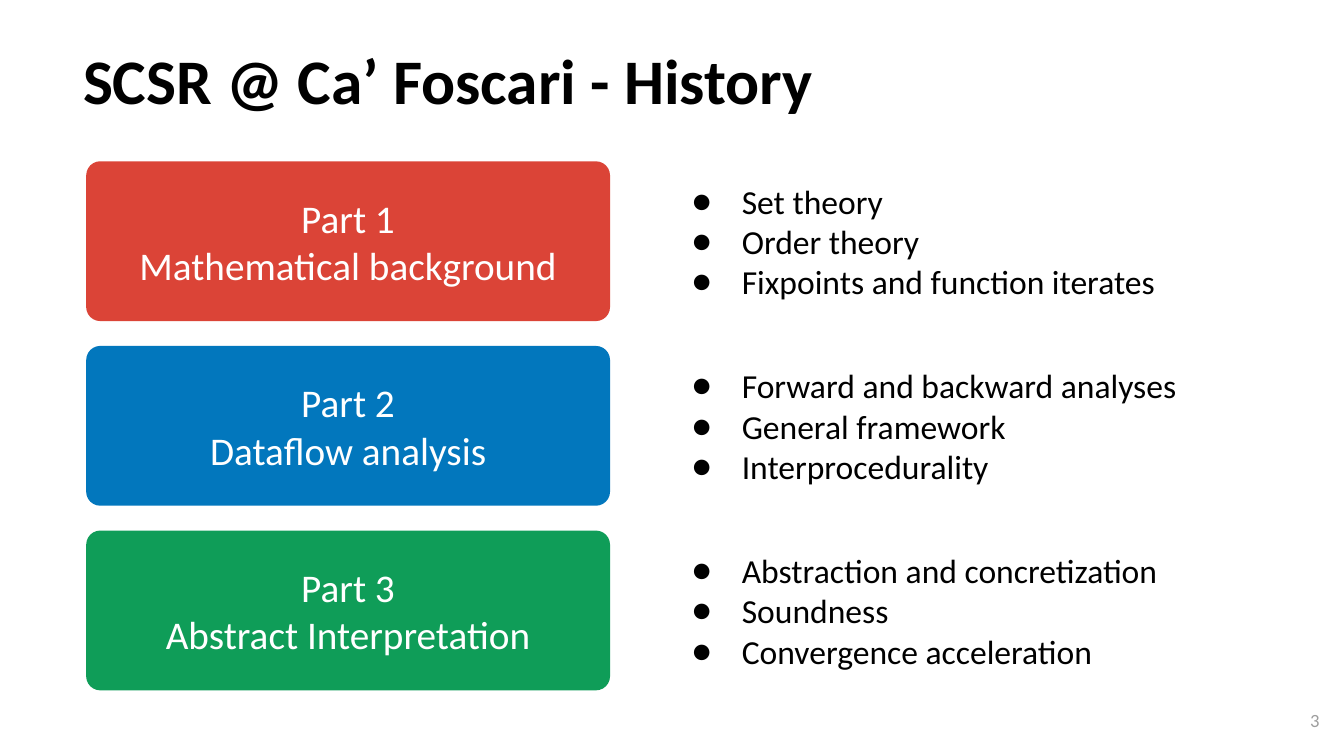
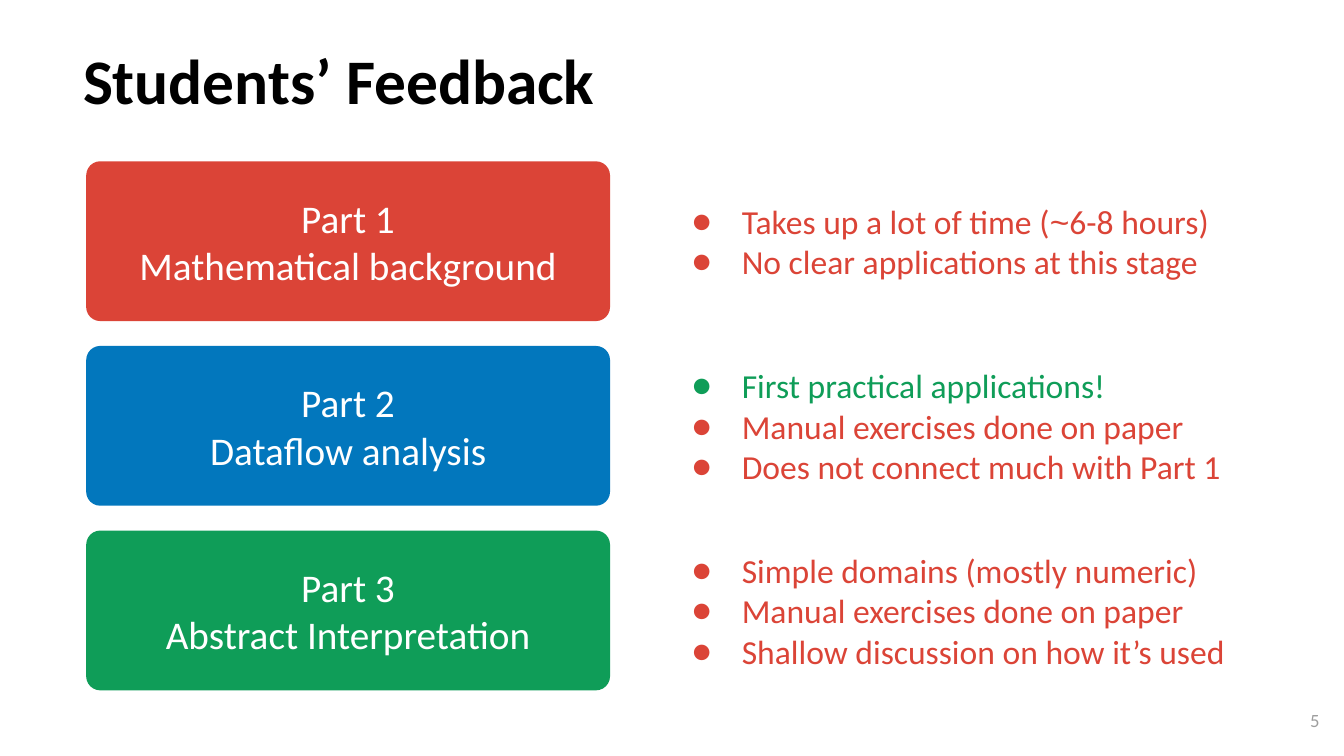
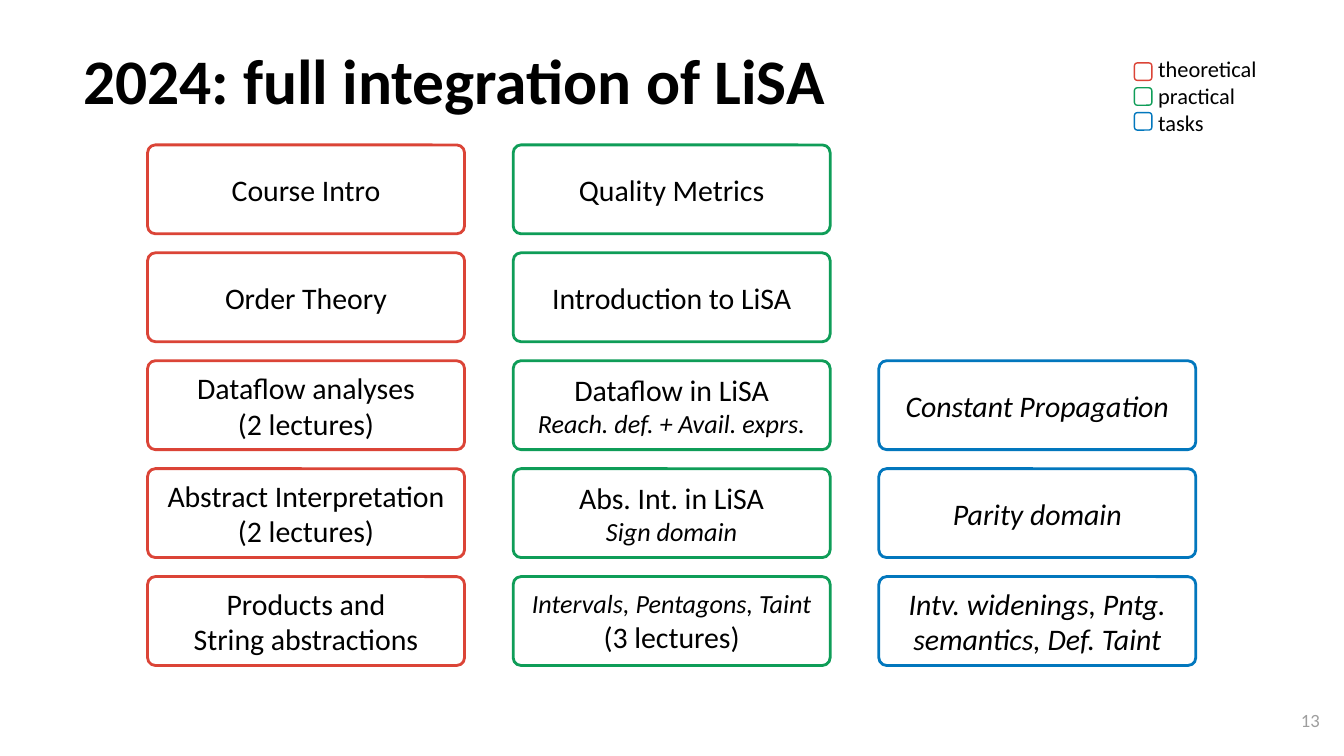
from dataclasses import dataclass, replace

from lxml import etree
from pptx import Presentation
from pptx.dml.color import RGBColor
from pptx.enum.shapes import MSO_SHAPE
from pptx.enum.text import MSO_ANCHOR, PP_ALIGN
from pptx.oxml.ns import qn
from pptx.util import Cm, Pt

ROUNDED = MSO_SHAPE.ROUNDED_RECTANGLE
TOP, MIDDLE, BOTTOM = MSO_ANCHOR.TOP, MSO_ANCHOR.MIDDLE, MSO_ANCHOR.BOTTOM
LEFT, CENTER, RIGHT = PP_ALIGN.LEFT, PP_ALIGN.CENTER, PP_ALIGN.RIGHT


@dataclass(frozen=True)
class Theme:
    """Colours, fonts, type sizes and line widths of the deck."""
    black: str = "000000"
    white: str = "FFFFFF"
    grey: str = "9E9E9E"
    red: str = "DB4437"
    blue: str = "0277BD"
    green: str = "0F9D58"
    font: str = "Calibri"
    symbol_font: str = "Arial"
    title: int = 34
    heading: int = 21
    bullet: int = 18
    lecture: int = 16
    detail: int = 14
    legend: int = 12
    number: int = 10
    card_line: float = 1.5
    swatch_line: float = 0.75
    card_corner: float = 0.088
    swatch_corner: float = 0.167
    inset: float = 0.25


THEME = Theme()


@dataclass(frozen=True)
class Box:
    """A rectangle measured in centimetres."""
    left: float
    top: float
    width: float
    height: float

    def shifted(self, dx=0, dy=0):
        """Return the same rectangle moved by dx and dy."""
        return replace(self, left=self.left + dx, top=self.top + dy)

    def lengths(self):
        """Return left, top, width and height as slide lengths."""
        return [Cm(v) for v in (self.left, self.top, self.width, self.height)]


@dataclass(frozen=True)
class Run:
    """A piece of text with one format."""
    text: str
    size: int
    color: str = THEME.black
    bold: bool = False
    italic: bool = False
    font: str = THEME.font


TITLE_BOX = Box(1.32, 0.33, 22.83, 2.13)
NUMBER_BOX = Box(23.67, 13.06, 1.52, 1.09)
COURSE_BOX = Box(1.63, 3.05, 22.25, 10)
GRID_BOX = Box(2.79, 2.74, 19.81, 9.84)
LEGEND_BOX = Box(21.44, 0.79, 2.71, 1.68)

COURSE = [
    ("Part 1", "Mathematical background", THEME.red),
    ("Part 2", "Dataflow analysis", THEME.blue),
    ("Part 3", "Abstract Interpretation", THEME.green),
]


def bullet(text, color=THEME.black):
    """Return a one-run bullet paragraph."""
    return [Run(text, THEME.bullet, color)]


def lecture(text, italic=False):
    """Return a main line of a lecture card."""
    return [Run(text, THEME.lecture, italic=italic)]


def detail(text):
    """Return a small italic line of a lecture card."""
    return [Run(text, THEME.detail, italic=True)]


HISTORY = [
    [bullet(text) for text in topics] for topics in (
        ("Set theory", "Order theory", "Fixpoints and function iterates"),
        ("Forward and backward analyses", "General framework", "Interprocedurality"),
        ("Abstraction and concretization", "Soundness", "Convergence acceleration"),
    )
]

FEEDBACK = [
    [
        [
            Run("Takes up a lot of time (", THEME.bullet, THEME.red),
            Run("~", THEME.bullet, THEME.red, font=THEME.symbol_font),
            Run("6-8 hours)", THEME.bullet, THEME.red),
        ],
        bullet("No clear applications at this stage", THEME.red),
    ],
    [
        bullet("First practical applications!", THEME.green),
        bullet("Manual exercises done on paper", THEME.red),
        bullet("Does not connect much with Part 1", THEME.red),
    ],
    [
        bullet("Simple domains (mostly numeric)", THEME.red),
        bullet("Manual exercises done on paper", THEME.red),
        bullet("Shallow discussion on how it’s used", THEME.red),
    ],
]

TRACKS = [
    ("theoretical", THEME.red, 0, [
        [lecture("Course Intro")],
        [lecture("Order Theory")],
        [lecture("Dataflow analyses"), lecture("(2 lectures)")],
        [lecture("Abstract Interpretation"), lecture("(2 lectures)")],
        [lecture("Products and"), lecture("String abstractions")],
    ]),
    ("practical", THEME.green, 0, [
        [lecture("Quality Metrics")],
        [lecture("Introduction to LiSA")],
        [lecture("Dataflow in LiSA"), detail("Reach. def. + Avail. exprs.")],
        [lecture("Abs. Int. in LiSA"), detail("Sign domain")],
        [detail("Intervals, Pentagons, Taint"), lecture("(3 lectures)")],
    ]),
    ("tasks", THEME.blue, 2, [
        [lecture("Constant Propagation", italic=True)],
        [lecture("Parity domain", italic=True)],
        [lecture("Intv. widenings, Pntg. semantics, Def. Taint", italic=True)],
    ]),
]


def rgb(color):
    """Turn a hex string into a colour."""
    return RGBColor.from_string(color)


def write(tf, paragraphs, align=LEFT, anchor=MIDDLE):
    """Fill a text frame with paragraphs made of runs."""
    tf.word_wrap = True
    tf.vertical_anchor = anchor
    tf.margin_left = tf.margin_right = Cm(THEME.inset)
    tf.margin_top = tf.margin_bottom = Cm(THEME.inset)
    for i, runs in enumerate(paragraphs):
        p = tf.add_paragraph() if i else tf.paragraphs[0]
        p.alignment = align
        for run in runs:
            r = p.add_run()
            r.text = run.text
            r.font.name = run.font
            r.font.size = Pt(run.size)
            r.font.bold = run.bold
            r.font.italic = run.italic
            r.font.color.rgb = rgb(run.color)


def add_text(s, box, paragraphs, align=LEFT, anchor=MIDDLE):
    """Add a text box and return its text frame."""
    tf = s.shapes.add_textbox(*box.lengths()).text_frame
    write(tf, paragraphs, align, anchor)
    return tf


def add_rounded(s, box, corner, fill=None, line=None, width=0):
    """Add a rounded rectangle that is filled, outlined or both."""
    sp = s.shapes.add_shape(ROUNDED, *box.lengths())
    sp.shadow.inherit = False
    sp.adjustments[0] = corner
    if fill:
        sp.fill.solid()
        sp.fill.fore_color.rgb = rgb(fill)
    else:
        sp.fill.background()
    if line:
        sp.line.color.rgb = rgb(line)
        sp.line.width = Pt(width)
    else:
        sp.line.fill.background()
    return sp


def set_bullet(p, color):
    """Give a paragraph a round bullet and a hanging indent."""
    pPr = p._p.get_or_add_pPr()
    pPr.set("marL", str(Cm(1.27)))
    pPr.set("indent", str(Cm(-0.95)))
    clr = etree.SubElement(pPr, qn("a:buClr"))
    etree.SubElement(clr, qn("a:srgbClr"), val=color)
    etree.SubElement(pPr, qn("a:buFont"), typeface=THEME.font)
    etree.SubElement(pPr, qn("a:buChar"), char="●")


def add_base_slide(prs, title, number):
    """Add a blank slide with its title and number."""
    s = prs.slides.add_slide(prs.slide_layouts[6])
    add_text(s, TITLE_BOX, [[Run(title, THEME.title, bold=True)]], anchor=BOTTOM)
    add_text(s, NUMBER_BOX, [[Run(str(number), THEME.number, THEME.grey)]], RIGHT)
    return s


def add_course_row(s, box, heading, bullets):
    """Place a coloured heading card and the bullets beside it."""
    name, topic, color = heading
    sp = add_rounded(s, replace(box, width=9.9), THEME.card_corner, fill=color)
    lines = [[Run(text, THEME.heading, THEME.white)] for text in (name, topic)]
    write(sp.text_frame, lines, CENTER)
    offset = 10.87
    bullet_box = replace(box.shifted(dx=offset), width=box.width - offset)
    tf = add_text(s, bullet_box, bullets)
    for p, runs in zip(tf.paragraphs, bullets):
        set_bullet(p, runs[0].color)


def add_course_slide(prs, title, number, bullet_groups):
    """Add a slide with one row for each part of the course."""
    s = add_base_slide(prs, title, number)
    height = 3.02
    pitch = (COURSE_BOX.height - height) / (len(COURSE) - 1)
    for i, (heading, bullets) in enumerate(zip(COURSE, bullet_groups)):
        row = replace(COURSE_BOX.shifted(dy=i * pitch), height=height)
        add_course_row(s, row, heading, bullets)


def add_lecture_grid(s, box):
    """Place one column of outlined lecture cards for each track."""
    card = replace(box, width=5.99, height=1.68)
    rows = max(first + len(cards) for _, _, first, cards in TRACKS)
    dx = (box.width - card.width) / (len(TRACKS) - 1)
    dy = (box.height - card.height) / (rows - 1)
    for col, (_, color, first, cards) in enumerate(TRACKS):
        for row, lines in enumerate(cards, first):
            sp = add_rounded(s, card.shifted(col * dx, row * dy), THEME.card_corner,
                             line=color, width=THEME.card_line)
            write(sp.text_frame, lines, CENTER)


def add_legend(s, box):
    """Place the track names and their outlined swatches."""
    indent = 0.2
    labels = [[Run(name, THEME.legend)] for name, *_ in TRACKS]
    label_box = replace(box.shifted(dx=indent), width=box.width - indent)
    add_text(s, label_box, labels, anchor=TOP)
    swatch = replace(box.shifted(dy=0.4), width=0.33, height=0.33)
    for i, (_, color, *_) in enumerate(TRACKS):
        add_rounded(s, swatch.shifted(dy=i * 0.47), THEME.swatch_corner,
                    line=color, width=THEME.swatch_line)


def add_schedule_slide(prs, title, number):
    """Add the slide with the lecture grid and its legend."""
    s = add_base_slide(prs, title, number)
    add_lecture_grid(s, GRID_BOX)
    add_legend(s, LEGEND_BOX)


def main():
    """Build and save the deck."""
    prs = Presentation()
    prs.slide_width, prs.slide_height = Cm(25.4), Cm(14.29)
    add_course_slide(prs, "SCSR @ Ca’ Foscari - History", 3, HISTORY)
    add_course_slide(prs, "Students’ Feedback", 5, FEEDBACK)
    add_schedule_slide(prs, "2024: full integration of LiSA", 13)
    prs.save("out.pptx")


if __name__ == "__main__":
    main()
